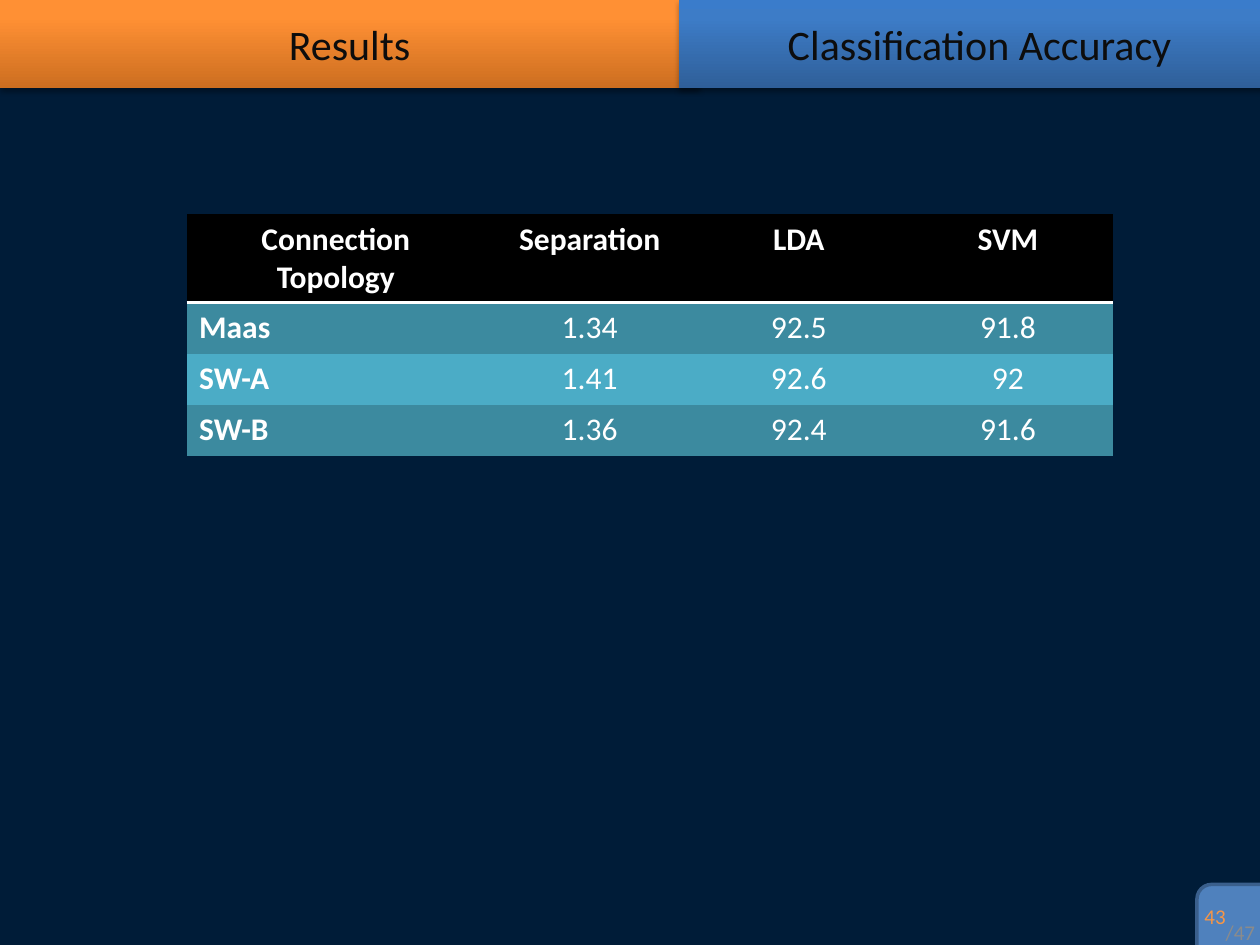
from copy import deepcopy

from lxml import etree
from pptx import Presentation
from pptx.dml.color import RGBColor
from pptx.enum.shapes import MSO_SHAPE
from pptx.enum.text import MSO_ANCHOR, PP_ALIGN
from pptx.oxml.ns import qn
from pptx.util import Pt

RECTANGLE = MSO_SHAPE.RECTANGLE
ROUNDED = MSO_SHAPE.ROUNDED_RECTANGLE
LEFT, CENTER, RIGHT = PP_ALIGN.LEFT, PP_ALIGN.CENTER, PP_ALIGN.RIGHT
MIDDLE = MSO_ANCHOR.MIDDLE

FONT = "Calibri"
PLAIN_TABLE_STYLE = "{2D5ABB26-0587-4C30-8999-92F81FD0307C}"
COLORS = {
    "background": "001C38",
    "title": "0D0D0D",
    "header": "000000",
    "odd_row": "3C8A9F",
    "even_row": "4BACC6",
    "white": "FFFFFF",
    "badge": "4F81BD",
    "badge_line": "3A5F8C",
    "page": "F79646",
    "total": "8B8B8B",
    "shadow": "000000",
}
ORANGE = [(0, "CC6E20"), (0.8, "FF9034"), (1, "FF9136")]
BLUE = [(0, "2F5F99"), (0.8, "3D7CC7"), (1, "3A7CCB")]
ROWS = [
    ["Connection Topology", "Separation", "LDA", "SVM"],
    ["Maas", "1.34", "92.5", "91.8"],
    ["SW-A", "1.41", "92.6", "92"],
    ["SW-B", "1.36", "92.4", "91.6"],
]


def rgb(name):
    return RGBColor.from_string(COLORS[name])


def write(frame, text, size, color, alignment, bold=False):
    paragraph = frame.paragraphs[0]
    paragraph.alignment = alignment
    run = paragraph.add_run()
    run.text = text
    run.font.name = FONT
    run.font.size = Pt(size)
    run.font.bold = bold
    run.font.color.rgb = rgb(color)


def fill_gradient(shape, stops):
    shape.fill.gradient()
    shape.fill.gradient_angle = 90
    stop_list = shape._element.spPr.find(qn("a:gradFill")).find(qn("a:gsLst"))
    stop_list.append(deepcopy(stop_list[-1]))
    for stop, (position, color) in zip(shape.fill.gradient_stops, stops):
        stop.position = position
        stop.color.rgb = RGBColor.from_string(color)


def add_shadow(shape):
    shape.shadow.inherit = False
    effects = shape._element.spPr.find(qn("a:effectLst"))
    shadow = etree.SubElement(
        effects, qn("a:outerShdw"), blurRad=str(Pt(3.1)), dist=str(Pt(1.8)),
        dir="5400000", rotWithShape="0")
    color = etree.SubElement(shadow, qn("a:srgbClr"), val=COLORS["shadow"])
    etree.SubElement(color, qn("a:alpha"), val="35000")


def add_title_bar(slide, box, text, stops):
    shape = slide.shapes.add_shape(RECTANGLE, *map(Pt, box))
    fill_gradient(shape, stops)
    shape.line.fill.background()
    add_shadow(shape)
    shape.text_frame.vertical_anchor = MIDDLE
    write(shape.text_frame, text, 24, "title", CENTER)


def add_bottom_border(cell):
    line = etree.Element(qn("a:lnB"), w=str(Pt(2)))
    fill = etree.SubElement(line, qn("a:solidFill"))
    etree.SubElement(fill, qn("a:srgbClr"), val=COLORS["white"])
    cell._tc.get_or_add_tcPr().insert(0, line)


def add_accuracy_table(slide, box):
    left, top, width, height = box
    frame = slide.shapes.add_table(len(ROWS), len(ROWS[0]), *map(Pt, box))
    table = frame.table
    table._tbl.tblPr.find(qn("a:tableStyleId")).text = PLAIN_TABLE_STYLE
    first_width = 170.6
    value_width = (width - first_width) / (len(ROWS[0]) - 1)
    for index, column in enumerate(table.columns):
        column.width = Pt(value_width if index else first_width)
    for row_index, values in enumerate(ROWS):
        table.rows[row_index].height = Pt(height / len(ROWS))
        is_header = row_index == 0
        row_color = "header" if is_header else "odd_row" if row_index % 2 else "even_row"
        for column_index, value in enumerate(values):
            cell = table.cell(row_index, column_index)
            cell.fill.solid()
            cell.fill.fore_color.rgb = rgb(row_color)
            is_label = column_index == 0
            alignment = LEFT if is_label and not is_header else CENTER
            write(cell.text_frame, value, 18, "white", alignment, is_header or is_label)
            if is_header:
                add_bottom_border(cell)


def add_page_badge(slide, box):
    left, top, width, height = box
    badge = slide.shapes.add_shape(ROUNDED, *map(Pt, box))
    badge.shadow.inherit = False
    badge.fill.solid()
    badge.fill.fore_color.rgb = rgb("badge")
    badge.line.color.rgb = rgb("badge_line")
    badge.line.width = Pt(2)

    total = slide.shapes.add_textbox(Pt(left + 16), Pt(top + 20), Pt(17.2), Pt(15))
    frame = total.text_frame
    frame.margin_left = frame.margin_right = frame.margin_top = frame.margin_bottom = 0
    frame.word_wrap = False
    frame.vertical_anchor = MIDDLE
    write(frame, "/47", 12, "total", RIGHT)

    page = slide.shapes.add_shape(ROUNDED, Pt(left - 67), Pt(top + 0.7), Pt(92.2), Pt(34.6))
    page.shadow.inherit = False
    page.fill.background()
    page.line.fill.background()
    page.text_frame.vertical_anchor = MIDDLE
    write(page.text_frame, "43", 12, "page", RIGHT)


def main():
    presentation = Presentation()
    presentation.slide_width = Pt(720)
    presentation.slide_height = Pt(540)
    slide = presentation.slides.add_slide(presentation.slide_layouts[6])
    slide.background.fill.solid()
    slide.background.fill.fore_color.rgb = rgb("background")

    add_page_badge(slide, (684, 505.4, 50.4, 53.3))
    add_title_bar(slide, (0, 0, 399.6, 50.4), "Results", ORANGE)
    add_title_bar(slide, (388.1, 0, 343.4, 50.4), "Classification Accuracy", BLUE)
    add_accuracy_table(slide, (106.6, 122.4, 529.2, 116.8))
    presentation.save("out.pptx")


if __name__ == "__main__":
    main()
